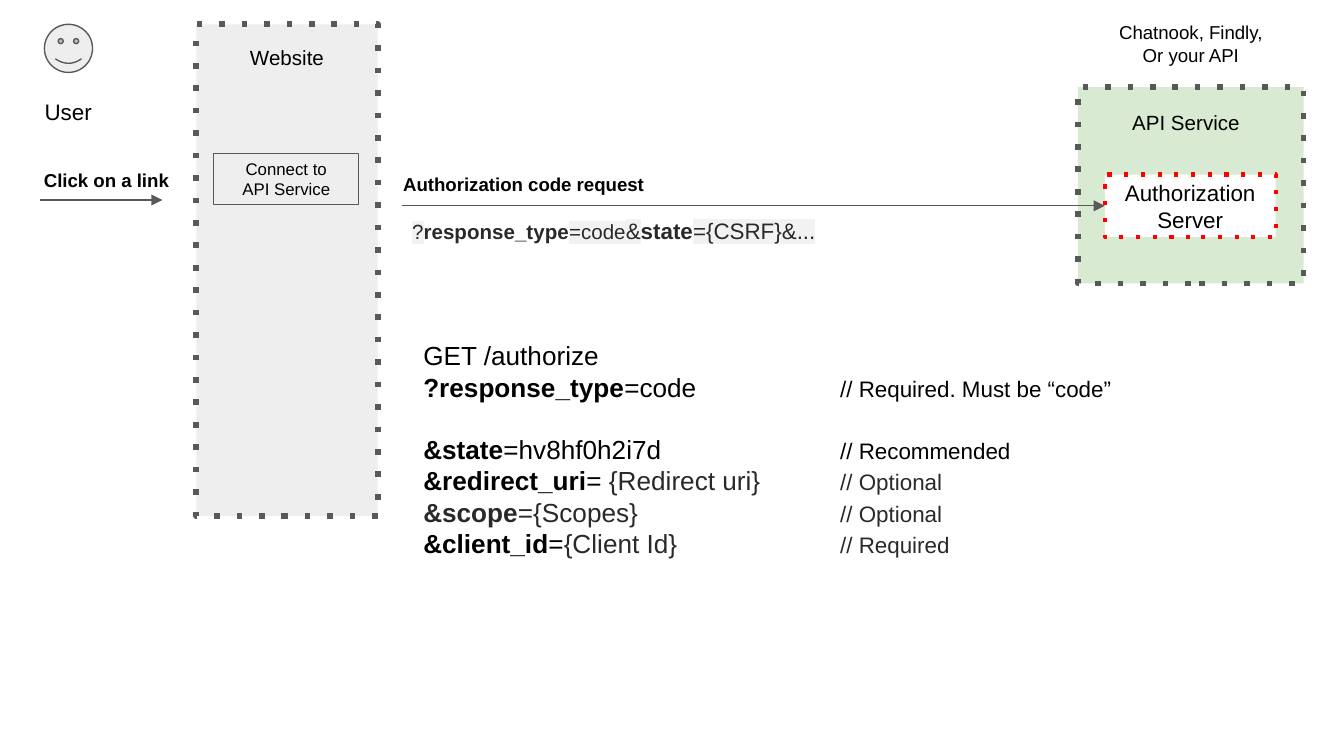
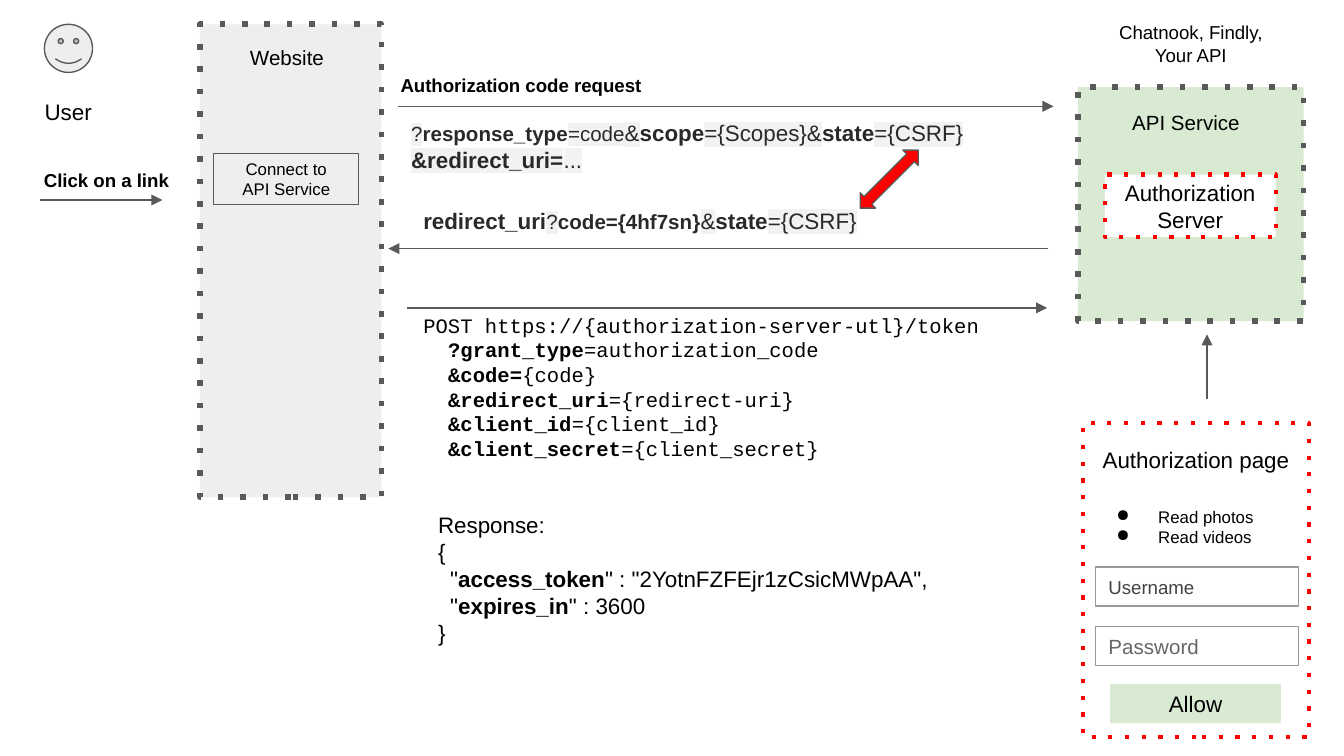
import lxml.etree
import pptx
import pptx.dml.color
import pptx.enum.dml
import pptx.enum.shapes
import pptx.enum.text
import pptx.oxml.ns
import pptx.util

Cm = pptx.util.Cm
Pt = pptx.util.Pt
qn = pptx.oxml.ns.qn
KIND = pptx.enum.shapes.MSO_SHAPE
ALIGN = pptx.enum.text.PP_ALIGN
ANCHOR = pptx.enum.text.MSO_ANCHOR

COLORS = {
    "black": "000000", "ink": "292929", "line": "595959", "panel": "EEEEEE",
    "green": "D9EAD3", "red": "FF0000", "white": "FFFFFF", "mark": "F2F2F2",
    "edge": "999999", "user": "434343", "pass": "666666",
}
INSET = Cm(0.25)


def color(name):
    return pptx.dml.color.RGBColor.from_string(COLORS[name])


def node(parent, tag, **attrs):
    return lxml.etree.SubElement(parent, qn(tag), attrs)


def add_run(para, text, marks="", size=12, tint="black", font="Arial"):
    run = para.add_run()
    run.text = text
    run.font.size = Pt(size)
    run.font.bold = "b" in marks
    run.font.color.rgb = color("ink" if "i" in marks else tint)
    run.font.name = font
    if "h" in marks:
        fill = run.font.element.find(qn("a:solidFill")) if hasattr(run.font, "element") else run._r.rPr.find(qn("a:solidFill"))
        mark = lxml.etree.Element(qn("a:highlight"))
        node(mark, "a:srgbClr", val=COLORS["mark"])
        fill.addnext(mark)


def write(shape, lines, size=12, align=ALIGN.LEFT, tint="black", font="Arial"):
    frame = shape.text_frame
    frame.word_wrap = True
    frame.margin_left = frame.margin_right = INSET
    frame.margin_top = frame.margin_bottom = INSET
    for pos, line in enumerate(lines):
        para = frame.add_paragraph() if pos else frame.paragraphs[0]
        para.alignment = align
        for text, marks, *own in [(line, "")] if isinstance(line, str) else line:
            add_run(para, text, marks, own[0] if own else size, tint, font)
    return frame.paragraphs


def add_text(slide, area, lines, size=12, align=ALIGN.LEFT, font="Arial"):
    box = slide.shapes.add_textbox(*map(Cm, area))
    return write(box, lines, size, align, font=font)


def add_label(slide, area, lines, size=12):
    return add_text(slide, area, lines, size, ALIGN.CENTER)


def add_box(slide, area, fill, edge=None, width=0.75, dots=False, kind=KIND.RECTANGLE):
    box = slide.shapes.add_shape(kind, *map(Cm, area))
    box.shadow.inherit = False
    box.fill.solid()
    box.fill.fore_color.rgb = color(fill)
    if not edge:
        box.line.fill.background()
        return box
    box.line.color.rgb = color(edge)
    box.line.width = Pt(width)
    if dots:
        box.line.dash_style = pptx.enum.dml.MSO_LINE.ROUND_DOT
        for dash in box.element.iter(qn("a:prstDash")):
            dash.set("val", "dot")
    return box


def add_field(slide, area, lines, size, fill="white", edge=None,
              align=ALIGN.CENTER, tint="black", **style):
    box = add_box(slide, area, fill, edge, **style)
    box.text_frame.vertical_anchor = ANCHOR.MIDDLE
    write(box, lines, size, align, tint)
    return box


def add_arrow(slide, x1, y1, x2, y2):
    kind = pptx.enum.shapes.MSO_CONNECTOR.STRAIGHT
    arrow = slide.shapes.add_connector(kind, *map(Cm, (x1, y1, x2, y2)))
    arrow.line.color.rgb = color("line")
    arrow.line.width = Pt(0.75)
    node(arrow.line._get_or_add_ln(), "a:tailEnd", type="triangle")
    node(arrow.element.spPr, "a:effectLst")
    return arrow


def indent(para, left, first=0):
    props = para._p.get_or_add_pPr()
    props.set("marL", str(Cm(left)))
    props.set("indent", str(Cm(first)))
    return props


def add_bullet(para):
    props = indent(para, 1.27, -0.79)
    node(node(props, "a:buClr"), "a:srgbClr", val=COLORS["black"])
    node(props, "a:buChar", char="●")


def add_tab(para, pos):
    tabs = node(para._p.get_or_add_pPr(), "a:tabLst")
    node(tabs, "a:tab", pos=str(Cm(pos)), algn="l")


def add_cast(slide, site, tall, owner):
    add_box(slide, (0.84, 0.46, 0.91, 0.91), "panel", "line", kind=KIND.SMILEY_FACE)
    add_label(slide, (0.5, 1.6, 1.58, 0.91), ["User"])
    add_box(slide, site, "panel", "line", 3, True)
    add_label(slide, (3.81, 0.61, 3.23, 0.97), ["Website"], 11)
    add_field(slide, (4.04, 2.9, 2.74, 0.97), ["Connect to", "API Service"], 9,
              "panel", "line")
    add_box(slide, (20.37, 1.65, 4.27, tall), "green", "line", 3, True)
    add_label(slide, (20.8, 1.85, 3.23, 0.97), ["API Service"], 11)
    add_arrow(slide, 0.76, 3.78, 3.07, 3.78)
    add_text(slide, (0.58, 2.97, 3.05, 0.66), [[("Click on a link", "b")]], 10)
    add_label(slide, (20.65, 0.15, 3.71, 1.19), ["Chatnook, Findly,", owner], 10)
    return add_field(slide, (20.88, 3.3, 3.23, 1.18), ["Authorization Server"], 12,
                     "white", "red", width=2.25, dots=True)


def add_ask(slide, left, top):
    add_text(slide, (left, top, 6.02, 0.66), [[("Authorization code request", "b")]], 10)


def add_page(slide):
    add_box(slide, (20.47, 8, 4.27, 5.94), "white", "red", 2.25, True)
    for top, name, size, tint in ((10.72, "Username", 10, "user"),
                                  (11.84, "Password", 11, "pass")):
        add_field(slide, (20.7, top, 3.84, 0.74), [name], size, "white", "edge",
                  ALIGN.LEFT, tint)
    add_label(slide, (20.47, 8.18, 4.27, 0.97), ["Authorization page"])
    for para in add_text(slide, (20.37, 9.32, 4.47, 1.19),
                         ["Read photos", "Read videos"], 9):
        add_bullet(para)
    add_field(slide, (20.98, 12.93, 3.23, 0.74), ["Allow"], 12, "green")


QUERY = [("?", "ih", 11), ("response_type", "ib", 11), ("=code", "ih", 11), ("&", "ih")]


def draw_ask(slide):
    server = add_cast(slide, (3.71, 0.46, 3.43, 9.3), 3.71, "Or your API")
    add_arrow(slide, 7.59, 3.89, 20.88, 3.89).end_connect(server, 1)
    add_ask(slide, 7.37, 3.05)
    add_text(slide, (7.54, 3.86, 12.12, 0.97),
             [QUERY + [("state", "ib"), ("={CSRF}&...", "ih")]])
    paras = add_text(slide, (7.75, 6.17, 17.45, 4.37), [
        "GET /authorize",
        [("?response_type", "b"), ("=code", ""), ("\t// Required. Must be “code”", "", 12)],
        [("&state", "b"), ("=hv8hf0h2i7d", ""), ("\t// Recommended", "", 12)],
        [("&redirect_uri", "b"), ("= ", ""), ("{Redirect uri}", "i"),
         ("\t// Optional", "i", 12)],
        [("&scope", "ib"), ("={Scopes}", "i"), ("\t// Optional", "i", 12)],
        [("&client_id", "b"), ("=", ""), ("{Client Id}", "i"), ("\t// Required", "i", 12)],
    ], 14)
    paras[2].space_before = Pt(16.5)
    for para in paras[1:]:
        add_tab(para, 7.88)


def draw_token(slide):
    add_cast(slide, (3.78, 0.46, 3.43, 8.94), 4.42, "Your API")
    add_arrow(slide, 7.52, 2.01, 19.91, 2.01)
    add_ask(slide, 7.32, 1.19)
    add_page(slide)
    add_text(slide, (7.52, 2.01, 12.12, 1.45), [
        QUERY + [("scope", "ib"), ("={Scopes}&", "ih"), ("state", "ib"), ("={CSRF}", "ih")],
        [("&redirect_uri=", "ibh"), ("...", "ih")],
    ])
    add_arrow(slide, 22.81, 7.54, 22.81, 6.32)
    add_arrow(slide, 19.81, 4.7, 7.34, 4.7)
    add_text(slide, (7.75, 3.66, 9.42, 1.07), [
        [("redirect_uri", "ib"), ("?", "ih", 11), ("code={4hf7sn}", "ib", 11),
         ("&", "ih"), ("state", "ib"), ("={CSRF}", "ih")]])
    link = add_box(slide, (16.03, 3.18, 1.55, 0.41), "red", "line",
                   kind=KIND.LEFT_RIGHT_ARROW)
    link.rotation = 135
    fields = (("?grant_type", "=authorization_code"), ("&code=", "{code}"),
              ("&redirect_uri", "={redirect-uri}"), ("&client_id", "={client_id}"),
              ("&client_secret", "={client_secret}"))
    paras = add_text(slide, (7.75, 5.66, 12.09, 3.38),
                     ["POST https://{authorization-server-utl}/token"]
                     + [[(key, "b"), (val, "")] for key, val in fields],
                     11, font="Courier New")
    for para in paras[1:]:
        indent(para, 0.47)
    add_arrow(slide, 7.7, 5.82, 19.79, 5.82)
    paras = add_text(slide, (8.03, 9.42, 11.53, 3.56), [
        "Response:", "{",
        [('"', ""), ("access_token", "b"), ('" : "2YotnFZFEjr1zCsicMWpAA",', "")],
        [('"', ""), ("expires_in", "b"), ('" : 3600', "")],
        "}",
    ])
    for para in paras[2:4]:
        indent(para, 0.23)


def main():
    deck = pptx.Presentation()
    deck.slide_width, deck.slide_height = Cm(25.4), Cm(14.29)
    for draw in (draw_ask, draw_token):
        draw(deck.slides.add_slide(deck.slide_layouts[6]))
    deck.save("out.pptx")


if __name__ == "__main__":
    main()
